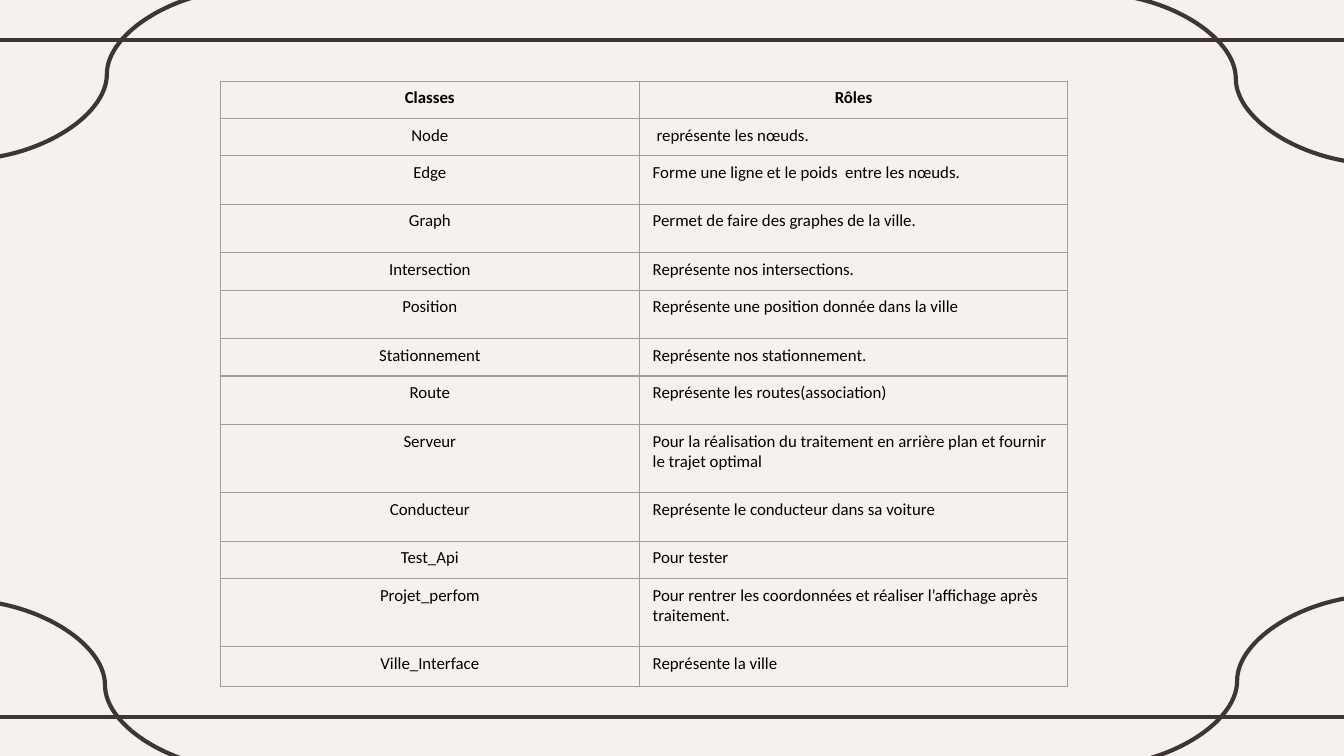
from typing import NamedTuple

from lxml import etree
from pptx import Presentation
from pptx.dml.color import RGBColor
from pptx.enum.shapes import MSO_CONNECTOR
from pptx.enum.text import PP_ALIGN
from pptx.oxml.ns import qn
from pptx.slide import Slide
from pptx.table import _Cell
from pptx.util import Pt

STRAIGHT = MSO_CONNECTOR.STRAIGHT
CURVE = MSO_CONNECTOR.CURVE
CENTER = PP_ALIGN.CENTER
LEFT = PP_ALIGN.LEFT

SLIDE_WIDTH, SLIDE_HEIGHT = 720, 405
TABLE_LEFT, TABLE_TOP = 118, 43.5
COLUMN_WIDTHS = (224.5, 229.5)
SHORT, MEDIUM, TALL, LAST = 20, 26, 36.5, 21.5
FONT_NAME, FONT_SIZE = "Calibri", 9
BACKGROUND, BROWN, GREY, BLACK = "F5F2EE", "3F3533", "9E9E9E", "000000"
BORDER_WIDTH = 0.75


class Line(NamedTuple):
    kind: MSO_CONNECTOR
    begin_x: float
    begin_y: float
    end_x: float
    end_y: float


class Row(NamedTuple):
    class_name: str
    role: str
    height: float


LINES = [
    Line(STRAIGHT, -6, 21.5, 726, 21.5),
    Line(STRAIGHT, -6, 384, 726, 384),
    Line(CURVE, -19.5, 321.5, 132, 412.5),
    Line(CURVE, 586.3, -3.5, 737.8, 87.7),
    Line(CURVE, 738.5, 319, 587, 410.5),
    Line(CURVE, 133, -5.8, -18.5, 85.5),
]

ROWS = [
    Row("Classes", "Rôles", SHORT),
    Row("Node", " représente les nœuds.", SHORT),
    Row("Edge", "Forme une ligne et le poids  entre les nœuds.", MEDIUM),
    Row("Graph", "Permet de faire des graphes de la ville.", MEDIUM),
    Row("Intersection", "Représente nos intersections.", SHORT),
    Row("Position", "Représente une position donnée dans la ville", MEDIUM),
    Row("Stationnement", "Représente nos stationnement.", SHORT),
    Row("Route", "Représente les routes(association)", MEDIUM),
    Row("Serveur", "Pour la réalisation du traitement en arrière plan et fournir le trajet optimal", TALL),
    Row("Conducteur", "Représente le conducteur dans sa voiture", MEDIUM),
    Row("Test_Api", "Pour tester", SHORT),
    Row("Projet_perfom", "Pour rentrer les coordonnées et réaliser l’affichage après traitement.", TALL),
    Row("Ville_Interface", "Représente la ville", LAST),
]


def color(value: str) -> RGBColor:
    return RGBColor.from_string(value)


def draw_line(slide: Slide, line: Line) -> None:
    connector = slide.shapes.add_connector(
        line.kind, Pt(line.begin_x), Pt(line.begin_y), Pt(line.end_x), Pt(line.end_y)
    )
    connector.line.color.rgb = color(BROWN)
    connector.line.width = Pt(2.25)
    etree.SubElement(connector._element.spPr, qn("a:effectLst"))


def set_borders(cell: _Cell) -> None:
    properties = cell._tc.get_or_add_tcPr()
    for index, side in enumerate(("lnL", "lnR", "lnT", "lnB")):
        border = etree.Element(qn(f"a:{side}"), w=str(Pt(BORDER_WIDTH)))
        fill = etree.SubElement(border, qn("a:solidFill"))
        etree.SubElement(fill, qn("a:srgbClr"), val=GREY)
        properties.insert(index, border)


def fill_cell(cell: _Cell, text: str, alignment: PP_ALIGN, bold: bool) -> None:
    cell.fill.background()
    set_borders(cell)
    cell.text_frame.text = text
    paragraph = cell.text_frame.paragraphs[0]
    paragraph.alignment = alignment
    font = paragraph.runs[0].font
    font.name = FONT_NAME
    font.size = Pt(FONT_SIZE)
    font.bold = bold
    font.color.rgb = color(BLACK)


def draw_table(slide: Slide, rows: list[Row]) -> None:
    shape = slide.shapes.add_table(
        len(rows), len(COLUMN_WIDTHS), Pt(TABLE_LEFT), Pt(TABLE_TOP),
        Pt(sum(COLUMN_WIDTHS)), Pt(sum(row.height for row in rows)),
    )
    table = shape.table
    table.first_row = False
    table.horz_banding = False
    for column, width in zip(table.columns, COLUMN_WIDTHS):
        column.width = Pt(width)
    for index, row in enumerate(rows):
        header = index == 0
        table.rows[index].height = Pt(row.height)
        fill_cell(table.cell(index, 0), row.class_name, CENTER, header)
        fill_cell(table.cell(index, 1), row.role, CENTER if header else LEFT, header)


def main() -> None:
    presentation = Presentation()
    presentation.slide_width = Pt(SLIDE_WIDTH)
    presentation.slide_height = Pt(SLIDE_HEIGHT)
    slide = presentation.slides.add_slide(presentation.slide_layouts[6])
    slide.background.fill.solid()
    slide.background.fill.fore_color.rgb = color(BACKGROUND)
    for line in LINES:
        draw_line(slide, line)
    draw_table(slide, ROWS)
    presentation.save("out.pptx")


if __name__ == "__main__":
    main()
